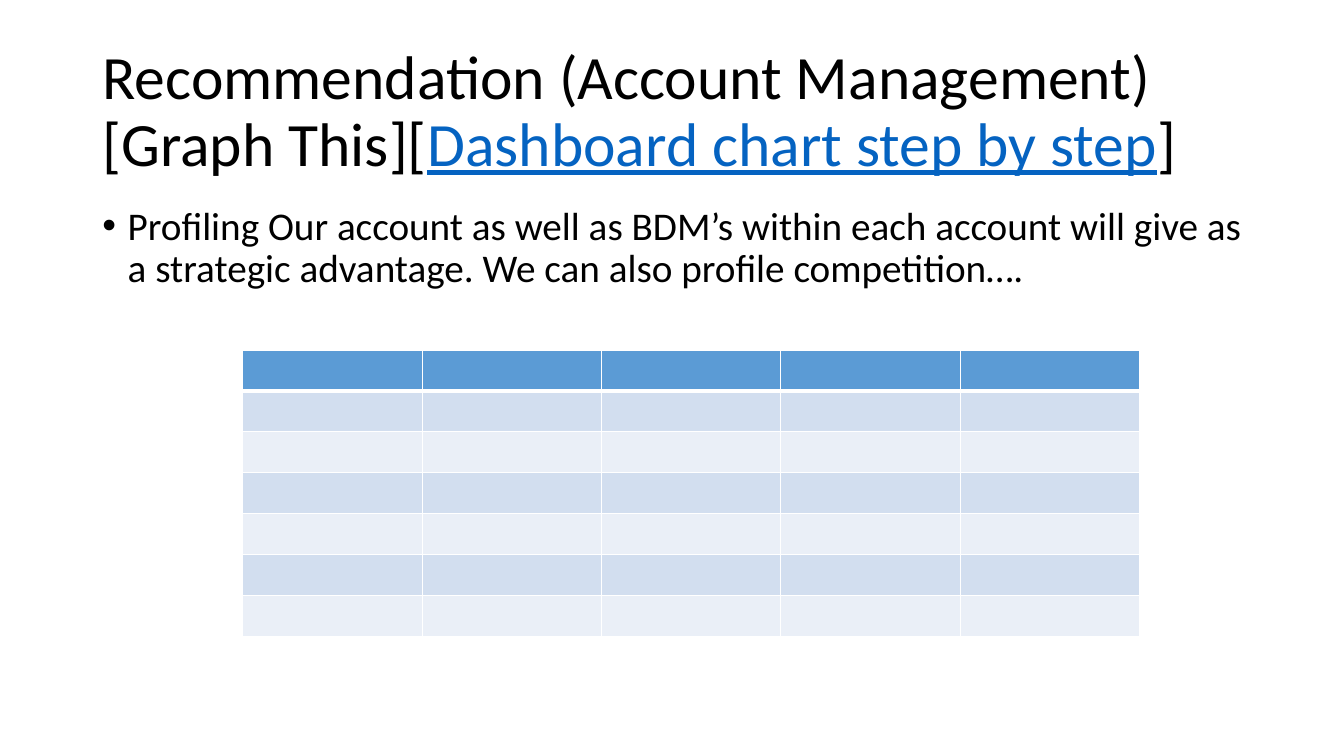
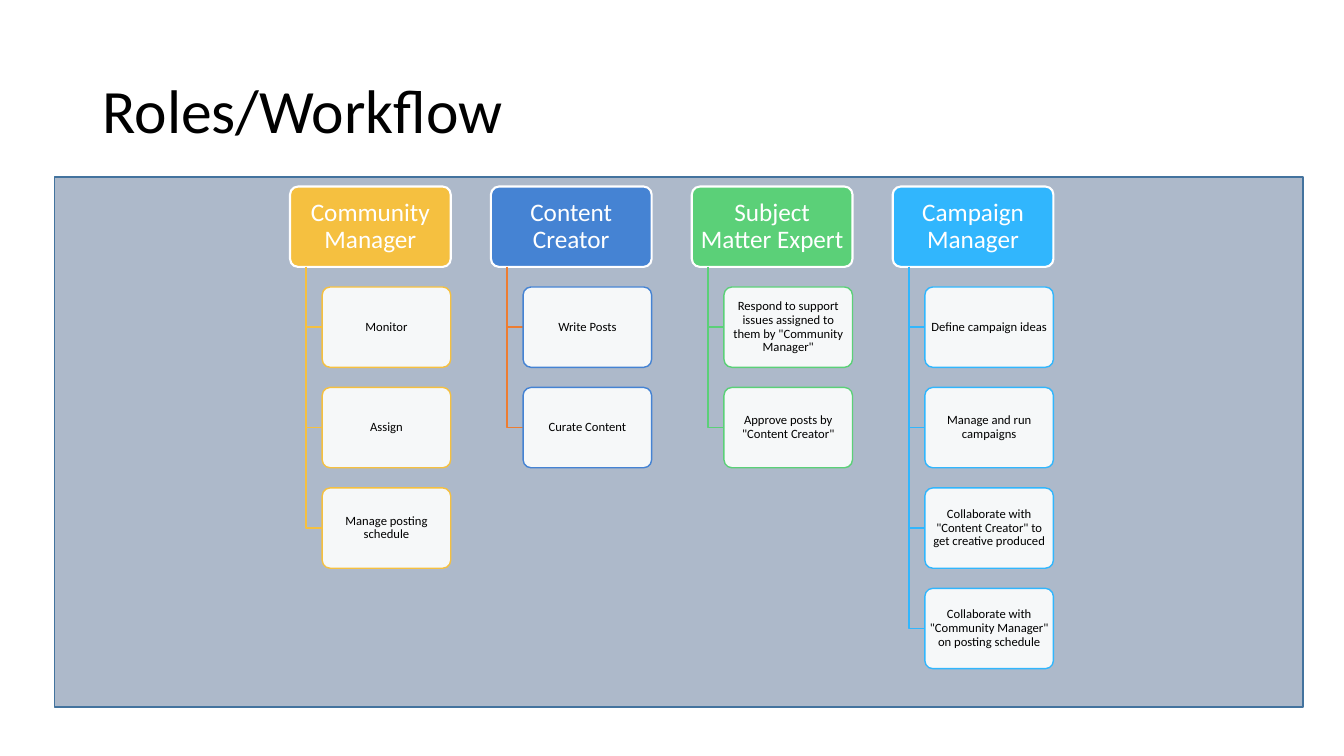
"""Build the account recommendation and the roles workflow slides."""
from dataclasses import dataclass

from lxml.etree import SubElement
from pptx import Presentation
from pptx.dml.color import RGBColor
from pptx.enum.shapes import MSO_SHAPE
from pptx.enum.text import MSO_ANCHOR, MSO_AUTO_SIZE, PP_ALIGN
from pptx.oxml.ns import qn
from pptx.presentation import Presentation as Deck
from pptx.shapes.autoshape import Shape
from pptx.slide import Slide
from pptx.table import _Cell as Cell
from pptx.text.text import _Run as Run
from pptx.util import Cm, Pt

FONT = "Calibri"
LINE_SPACING = 0.9
COLORS = {
    "text": "000000",
    "white": "FFFFFF",
    "link": "0563C1",
    "header": "5B9BD5",
    "band_dark": "D2DEEF",
    "band_light": "EAEFF7",
    "panel": "ADB9CA",
    "panel_line": "43739E",
    "yellow": "F5C040",
    "blue": "4583D3",
    "orange": "ED7D31",
    "green": "5BD078",
    "sky": "31B6FD",
}

CONTENT_LEFT, CONTENT_WIDTH = 2.33, 29.21
TABLE_COLUMNS, TABLE_ROWS = 5, 7
COLUMN_WIDTH, ROW_HEIGHT = 4.52, 1.03

ROLES_LEFT, ROLES_TOP = 7.31, 4.7
ROLE_WIDTH = 4.05
BOX_HEIGHT = ROLE_WIDTH / 2
ROLE_STEP = ROLE_WIDTH * 1.25
TASK_STEP = BOX_HEIGHT * 1.25
STEM_INSET = ROLE_WIDTH * 0.1
TASK_INSET = ROLE_WIDTH * 0.2


@dataclass(frozen=True)
class TitlePart:
    text: str
    color: str = "text"
    underlined: bool = False


@dataclass(frozen=True)
class Role:
    name: str
    color: str
    branch_color: str
    tasks: tuple[str, ...]


@dataclass(frozen=True)
class BoxStyle:
    fill: str
    line: str
    line_width: float
    text: str
    size: int
    side_margin: float
    top_margin: float
    opacity: int = 100


ROLES = (
    Role("Community Manager", "yellow", "yellow",
         ("Monitor", "Assign", "Manage posting schedule")),
    Role("Content Creator", "blue", "orange",
         ("Write Posts", "Curate Content")),
    Role("Subject Matter Expert", "green", "green",
         ('Respond to support issues assigned to them by "Community Manager"',
          'Approve posts by "Content Creator"')),
    Role("Campaign Manager", "sky", "sky",
         ("Define campaign ideas",
          "Manage and run campaigns",
          'Collaborate with "Content Creator" to get creative produced',
          'Collaborate with "Community Manager" on posting schedule')),
)


def rgb(name: str) -> RGBColor:
    return RGBColor.from_string(COLORS[name])


def format_run(run: Run, size: int, color: str) -> None:
    run.font.name = FONT
    run.font.size = Pt(size)
    run.font.color.rgb = rgb(color)


def outline(shape: Shape, color: str, width: float) -> None:
    shape.shadow.inherit = False
    shape.line.color.rgb = rgb(color)
    shape.line.width = Pt(width)


def add_titled_slide(deck: Deck, *parts: TitlePart) -> Slide:
    slide = deck.slides.add_slide(deck.slide_layouts[5])
    title = slide.shapes.title
    title.left, title.top = Cm(CONTENT_LEFT), Cm(1.01)
    title.width, title.height = Cm(CONTENT_WIDTH), Cm(3.68)
    frame = title.text_frame
    frame.auto_size = MSO_AUTO_SIZE.NONE
    frame.vertical_anchor = MSO_ANCHOR.MIDDLE
    heading = frame.paragraphs[0]
    heading.alignment = PP_ALIGN.LEFT
    heading.line_spacing = LINE_SPACING
    for part in parts:
        run = heading.add_run()
        run.text = part.text
        format_run(run, 44, part.color)
        run.font.underline = part.underlined
    return slide


def add_bullet(slide: Slide, text: str) -> None:
    body = slide.shapes.add_textbox(
        Cm(CONTENT_LEFT), Cm(5.08), Cm(CONTENT_WIDTH), Cm(12.09))
    body.text_frame.word_wrap = True
    point = body.text_frame.paragraphs[0]
    point.text = text
    point.line_spacing = LINE_SPACING
    point.space_before = Pt(10)
    format_run(point.runs[0], 28, "text")
    properties = point._p.get_or_add_pPr()
    properties.set("marL", str(Cm(0.64)))
    properties.set("indent", str(-Cm(0.64)))
    SubElement(properties, qn("a:buFont"), typeface="Arial")
    SubElement(properties, qn("a:buChar"), char="•")


def set_borders(cell: Cell, top: int, bottom: int) -> None:
    properties = cell._tc.get_or_add_tcPr()
    widths = {"a:lnL": 1, "a:lnR": 1, "a:lnT": top, "a:lnB": bottom}
    for position, (side, width) in enumerate(widths.items()):
        border = SubElement(properties, qn(side), w=str(Pt(width)))
        paint = SubElement(border, qn("a:solidFill"))
        SubElement(paint, qn("a:srgbClr"), val=COLORS["white"])
        properties.insert(position, border)


def add_profile_table(slide: Slide) -> None:
    table = slide.shapes.add_table(
        TABLE_ROWS, TABLE_COLUMNS, Cm(6.12), Cm(8.82),
        Cm(COLUMN_WIDTH * TABLE_COLUMNS), Cm(ROW_HEIGHT * TABLE_ROWS)).table
    for row_number, row in enumerate(table.rows):
        band = "band_dark" if row_number % 2 else "band_light"
        for cell in row.cells:
            cell.fill.solid()
            cell.fill.fore_color.rgb = rgb(band if row_number else "header")
            set_borders(cell, 3 if row_number == 1 else 1,
                        1 if row_number else 3)


def add_panel(slide: Slide) -> None:
    panel = slide.shapes.add_shape(
        MSO_SHAPE.RECTANGLE, Cm(1.37), Cm(4.46), Cm(31.47), Cm(13.36))
    panel.fill.solid()
    panel.fill.fore_color.rgb = rgb("panel")
    outline(panel, "panel_line", 1)


def add_box(slide: Slide, text: str, left: float, top: float, width: float,
            style: BoxStyle) -> None:
    box = slide.shapes.add_shape(
        MSO_SHAPE.ROUNDED_RECTANGLE, Cm(left), Cm(top), Cm(width), Cm(BOX_HEIGHT))
    box.adjustments[0] = 0.1
    box.fill.solid()
    box.fill.fore_color.rgb = rgb(style.fill)
    if style.opacity < 100:
        tint = box.element.spPr.find(qn("a:solidFill")).find(qn("a:srgbClr"))
        SubElement(tint, qn("a:alpha"), val=str(style.opacity * 1000))
    outline(box, style.line, style.line_width)
    frame = box.text_frame
    frame.word_wrap = True
    frame.vertical_anchor = MSO_ANCHOR.MIDDLE
    frame.margin_left = frame.margin_right = Cm(style.side_margin)
    frame.margin_top = frame.margin_bottom = Cm(style.top_margin)
    frame.text = text
    label = frame.paragraphs[0]
    label.alignment = PP_ALIGN.CENTER
    label.line_spacing = LINE_SPACING
    format_run(label.runs[0], style.size, style.text)


def add_branch(slide: Slide, left: float, task_left: float, task_top: float,
               color: str) -> None:
    middle = Cm(task_top + BOX_HEIGHT / 2)
    builder = slide.shapes.build_freeform(Cm(left), Cm(ROLES_TOP + BOX_HEIGHT))
    builder.add_line_segments(
        [(Cm(left), middle), (Cm(task_left), middle)], close=False)
    branch = builder.convert_to_shape()
    branch.fill.background()
    outline(branch, color, 1)


def add_role(slide: Slide, role: Role, left: float) -> None:
    role_style = BoxStyle(role.color, "white", 1.5, "white", 18, 0.09, 0.06)
    task_style = BoxStyle("white", role.color, 1, "text", 9, 0.04, 0.03, 90)
    add_box(slide, role.name, left, ROLES_TOP, ROLE_WIDTH, role_style)
    task_left = left + TASK_INSET
    for number, task in enumerate(role.tasks, start=1):
        task_top = ROLES_TOP + number * TASK_STEP
        add_branch(slide, left + STEM_INSET, task_left, task_top,
                   role.branch_color)
        add_box(slide, task, task_left, task_top, ROLE_WIDTH - TASK_INSET,
                task_style)


def build_recommendation(deck: Deck) -> None:
    slide = add_titled_slide(
        deck,
        TitlePart("Recommendation (Account Management) [Graph This]["),
        TitlePart("Dashboard chart step by step", "link", True),
        TitlePart("]"))
    add_bullet(slide, "Profiling Our account as well as BDM’s within each account "
                      "will give as a strategic advantage. We can also profile "
                      "competition….")
    add_profile_table(slide)


def build_workflow(deck: Deck) -> None:
    slide = add_titled_slide(deck, TitlePart("Roles/Workflow"))
    add_panel(slide)
    for number, role in enumerate(ROLES):
        add_role(slide, role, ROLES_LEFT + number * ROLE_STEP)


def main() -> None:
    deck = Presentation()
    deck.slide_width, deck.slide_height = Cm(33.87), Cm(19.05)
    build_recommendation(deck)
    build_workflow(deck)
    deck.save("out.pptx")


if __name__ == "__main__":
    main()
